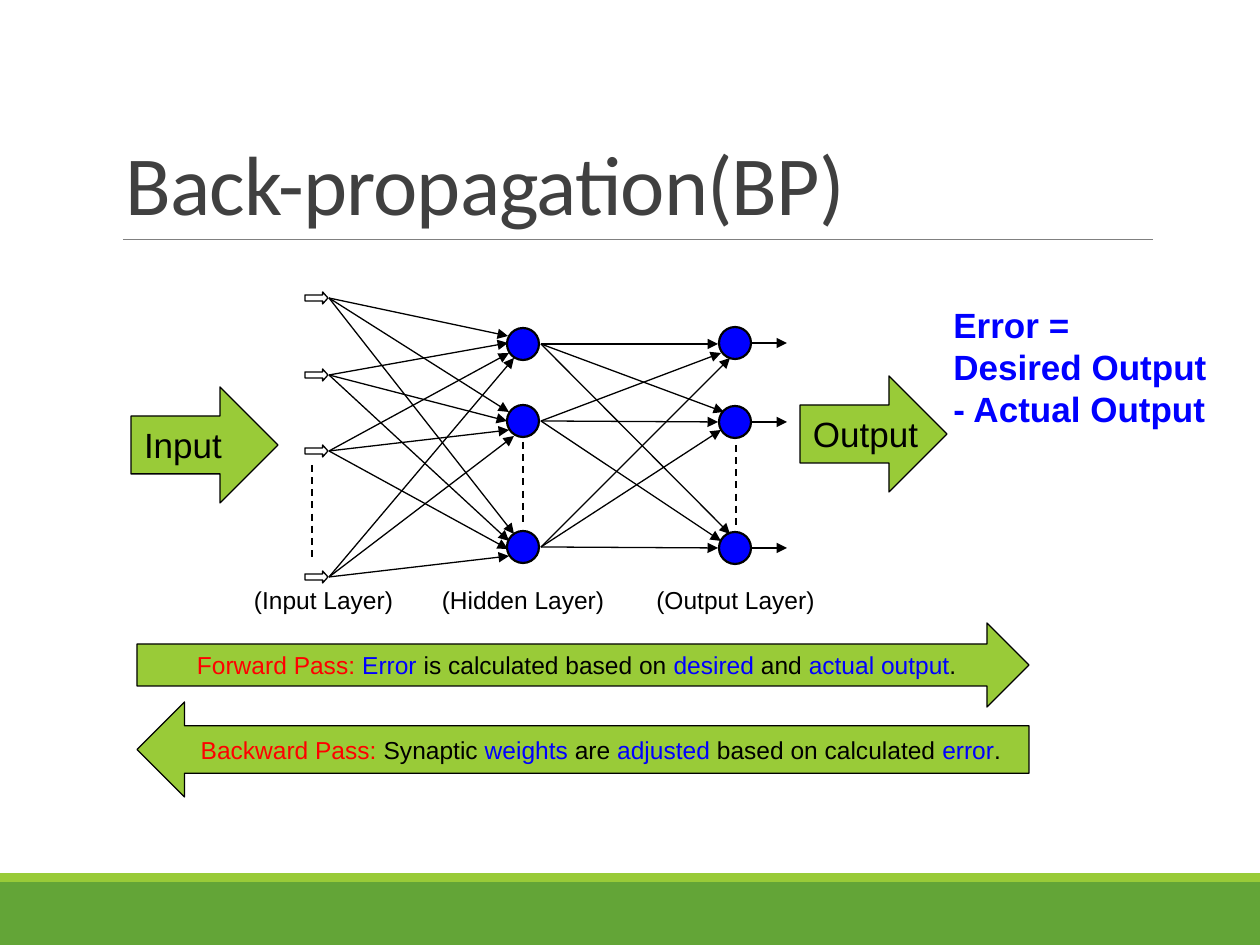
from lxml.etree import SubElement
from pptx import Presentation
from pptx.dml.color import RGBColor
from pptx.enum.dml import MSO_LINE
from pptx.enum.shapes import MSO_CONNECTOR, MSO_SHAPE
from pptx.enum.text import MSO_ANCHOR as Anchor, MSO_AUTO_SIZE, PP_ALIGN as Align
from pptx.oxml.ns import qn
from pptx.util import Pt

PX = 914400 / 126
BLACK = RGBColor(0x00, 0x00, 0x00)
WHITE = RGBColor(0xFF, 0xFF, 0xFF)
RED = RGBColor(0xFF, 0x00, 0x00)
BLUE = RGBColor(0x00, 0x00, 0xFF)
LIME = RGBColor(0x99, 0xCB, 0x38)
GREEN = RGBColor(0x63, 0xA5, 0x37)
GRAY = RGBColor(0x80, 0x80, 0x80)
DARK = RGBColor(0x40, 0x40, 0x40)

# Each layer's nodes from top to bottom
INPUT_YS = [298, 375, 451, 577]
HIDDEN_YS = [344, 421, 547]
OUTPUT_YS = [343, 422, 548]
INPUT_X, HIDDEN_X, OUTPUT_X = 329, 523, 735
RADIUS = 16

# Where the links of each source node meet the nodes of the next layer
HIDDEN_ENDS = [
    [(508, 336), (509, 412), (514, 534)],
    [(508, 343), (507, 421), (509, 541)],
    [(509, 353), (509, 430), (508, 549)],
    [(514, 358), (514, 436), (509, 556)],
]
OUTPUT_ENDS = [
    [(718, 344), (724, 412), (730, 534)],
    [(721, 353), (718, 422), (721, 541)],
    [(730, 358), (721, 430), (718, 548)],
]


def px(*lengths):
    return [round(length * PX) for length in lengths]


class SlideBuilder:
    def __init__(self, slide):
        self.slide = slide
        self.font = {"name": "Arial", "size": Pt(14)}

    def add_runs(self, para, runs, **changes):
        """Add (text, colour) runs in the base font with the given changes."""
        for text, color in runs:
            span = para.add_run()
            span.text = text
            for name, value in (self.font | changes).items():
                setattr(span.font, name, value)
            span.font.color.rgb = color

    def title(self, text, box):
        holder = self.slide.shapes.title
        holder.left, holder.top, holder.width, holder.height = px(*box)
        frame = holder.text_frame
        frame.auto_size = MSO_AUTO_SIZE.NONE
        frame.vertical_anchor = Anchor.BOTTOM
        para = frame.paragraphs[0]
        para.alignment = Align.LEFT
        para.line_spacing = 0.85
        self.add_runs(para, [(text, DARK)], name="Calibri", size=Pt(48))
        para.runs[0].font._element.set("spc", "-50")

    def shape(self, kind, box, fill, line_width=0.75, adjustments=()):
        shape = self.slide.shapes.add_shape(kind, *px(*box))
        shape.shadow.inherit = False
        shape.fill.solid()
        shape.fill.fore_color.rgb = fill
        if line_width:
            shape.line.color.rgb = BLACK
            shape.line.width = Pt(line_width)
        else:
            shape.line.fill.background()
        for index, value in enumerate(adjustments):
            shape.adjustments[index] = value
        return shape

    def block_arrow(self, kind, box, runs, size=14, inset=13):
        frame = self.shape(kind, box, LIME).text_frame
        frame.word_wrap = False
        frame.vertical_anchor = Anchor.MIDDLE
        frame.margin_left, = px(inset)
        para = frame.paragraphs[0]
        para.alignment = Align.LEFT
        self.add_runs(para, runs, size=Pt(size))

    def text(self, box, lines, color=BLACK, align=Align.LEFT, **changes):
        frame = self.slide.shapes.add_textbox(*px(*box)).text_frame
        frame.word_wrap = True
        for index, line in enumerate(lines):
            para = frame.add_paragraph() if index else frame.paragraphs[0]
            para.alignment = align
            self.add_runs(para, [(line, color)], **changes)

    def line(self, start, end, color=BLACK, width=0.75, dashed=False, arrow=False):
        line = self.slide.shapes.add_connector(
            MSO_CONNECTOR.STRAIGHT, *px(*start, *end))
        line.line.color.rgb = color
        line.line.width = Pt(width)
        if dashed:
            line.line.dash_style = MSO_LINE.DASH
        properties = line._element.spPr
        if arrow:
            SubElement(properties.get_or_add_ln(), qn("a:tailEnd"), type="triangle")
        SubElement(properties, qn("a:effectLst"))


def draw_network(page):
    for x, ys in ((HIDDEN_X, HIDDEN_YS), (OUTPUT_X, OUTPUT_YS)):
        for y in ys:
            box = (x - RADIUS, y - RADIUS, 2 * RADIUS, 2 * RADIUS)
            page.shape(MSO_SHAPE.OVAL, box, BLUE, 1.25)
    for y in INPUT_YS:
        page.shape(MSO_SHAPE.RIGHT_ARROW, (INPUT_X - 24, y - 6, 23, 12), WHITE,
                   adjustments=(0.5, 0.44))

    for x, ys, ends in ((INPUT_X, INPUT_YS, HIDDEN_ENDS),
                        (HIDDEN_X + 18, HIDDEN_YS, OUTPUT_ENDS)):
        for y, targets in zip(ys, ends):
            for target in targets:
                page.line((x, y), target, arrow=True)
    for y in OUTPUT_YS:
        page.line((OUTPUT_X + RADIUS, y), (787, y), arrow=True)
    for x, top, bottom in ((312, 465, 559), (HIDDEN_X, 442, 525), (736, 445, 527)):
        page.line((x, top), (x, bottom), width=1, dashed=True)

    for name, left, width in (("Input", 237, 173), ("Hidden", 426, 194),
                              ("Output", 636, 199)):
        page.text((left, 579, width, 50), [f"({name} Layer)"], align=Align.CENTER)


def main():
    deck = Presentation()
    deck.slide_width, deck.slide_height = px(1260, 945)
    page = SlideBuilder(deck.slides.add_slide(deck.slide_layouts[5]))

    page.shape(MSO_SHAPE.RECTANGLE, (0, 882, 1260, 63), GREEN, 0)
    page.shape(MSO_SHAPE.RECTANGLE, (0, 873, 1260, 9), LIME, 0)
    page.line((123, 239), (1153, 239), GRAY, 0.5)
    page.title("Back-propagation(BP)", (113, 39, 1040, 200))

    draw_network(page)

    page.block_arrow(MSO_SHAPE.LEFT_ARROW, (137, 702, 892, 95), [
        ("Backward Pass: ", RED), ("Synaptic ", BLACK), ("weights ", BLUE),
        ("are ", BLACK), ("adjusted", BLUE), (" based on calculated ", BLACK),
        ("error", BLUE), (".", BLACK)], inset=40)
    page.block_arrow(MSO_SHAPE.RIGHT_ARROW, (137, 623, 892, 84), [
        ("Forward Pass: ", RED), ("Error", BLUE),
        (" is calculated based on ", BLACK), ("desired", BLUE), (" and ", BLACK),
        ("actual output", BLUE), (".", BLACK)], inset=60)
    for name, left, top in (("Input", 131, 387), ("Output", 800, 376)):
        page.block_arrow(MSO_SHAPE.RIGHT_ARROW, (left, top, 147, 116),
                         [(name, BLACK)], size=20)
    page.text((941, 297, 294, 140), ["Error =", "Desired Output - Actual Output"],
              BLUE, size=Pt(20), bold=True)

    deck.save("out.pptx")


if __name__ == "__main__":
    main()
